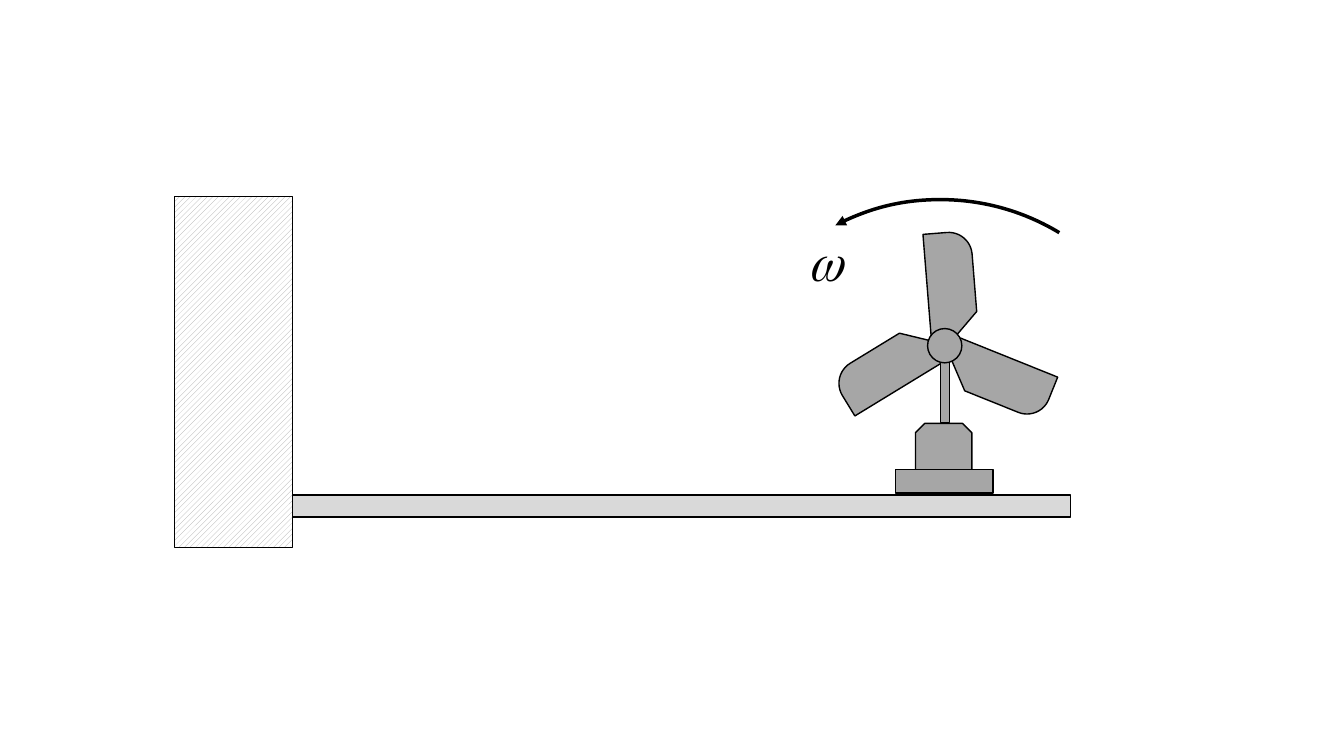
from dataclasses import dataclass

from pptx import Presentation
from pptx import util as u
from pptx.dml.color import RGBColor
from pptx.enum import dml, shapes, text
from pptx.oxml.ns import qn
from pptx.shapes.autoshape import Shape
from pptx.slide import Slide

BLACK = RGBColor(0x00, 0x00, 0x00)
WHITE = RGBColor(0xFF, 0xFF, 0xFF)
GREY = RGBColor(0xA6, 0xA6, 0xA6)
PALE = RGBColor(0xD9, 0xD9, 0xD9)
KIND = shapes.MSO_SHAPE


@dataclass(frozen=True)
class Part:
    kind: KIND
    left: float
    top: float
    width: float
    height: float
    fill: RGBColor | None = GREY
    turn: float = 0
    adjust: tuple[float, ...] = ()
    line: float = 1


def blade(left: float, top: float, turn: float) -> Part:
    return Part(KIND.SNIP_ROUND_RECTANGLE, left, top, 1.04, 0.47,
                turn=turn, adjust=(0.495, 0.5))


# Parts from back to front
ARC = Part(KIND.ARC, 7.06, 1.98, 4.54, 4.54, None, 31.2, (162, 197.155), 2.5)
WALL = Part(KIND.RECTANGLE, 1.73, 1.95, 1.17, 3.48, None)
BEAM = Part(KIND.RECTANGLE, 2.9, 4.91, 7.72, 0.22, PALE)
FAN = (
    Part(KIND.SNIP_2_SAME_RECTANGLE, 9.08, 4.2, 0.56, 0.7),
    Part(KIND.RECTANGLE, 8.88, 4.66, 0.97, 0.23),
    blade(8.28, 3.42, 328.6),
    Part(KIND.RECTANGLE, 9.33, 3.59, 0.09, 0.6),
    blade(8.91, 2.59, 85.4),
    blade(9.4, 3.53, 201.9),
    Part(KIND.OVAL, 9.2, 3.26, 0.34, 0.34),
)


def draw(slide: Slide, part: Part) -> Shape:
    box = (part.left, part.top, part.width, part.height)
    shape = slide.shapes.add_shape(part.kind, *map(u.Inches, box))
    shape.shadow.inherit = False
    shape.rotation = part.turn
    for index, value in enumerate(part.adjust):
        shape.adjustments[index] = value
    if part.fill is None:
        shape.fill.background()
    else:
        shape.fill.solid()
        shape.fill.fore_color.rgb = part.fill
    shape.line.color.rgb = BLACK
    shape.line.width = u.Pt(part.line)
    return shape


def hatch(shape: Shape) -> None:
    shape.fill.patterned()
    shape.fill.pattern = dml.MSO_PATTERN.WIDE_UPWARD_DIAGONAL
    shape.fill.fore_color.rgb = GREY
    shape.fill.back_color.rgb = WHITE


def point(shape: Shape) -> None:
    """Mirror the arc and put an arrowhead at its end."""
    props = shape.element.spPr
    props.find(qn("a:xfrm")).set("flipH", "1")
    line = props.find(qn("a:ln"))
    tail = line.makeelement(qn("a:tailEnd"), {"type": "triangle"})
    line.append(tail)


def label(slide: Slide) -> None:
    box = slide.shapes.add_textbox(*map(u.Inches, (7.92, 2.22, 0.6, 0.74)))
    frame = box.text_frame
    frame.word_wrap = False
    frame.auto_size = text.MSO_AUTO_SIZE.SHAPE_TO_FIT_TEXT
    para = frame.paragraphs[0]
    para.text = "⍵"
    font = para.font
    font.name = "Times New Roman"
    font.size = u.Pt(38)
    font.italic = True
    font.color.rgb = BLACK


def main() -> None:
    deck = Presentation()
    deck.slide_width = u.Inches(13.33)
    deck.slide_height = u.Inches(7.5)
    slide = deck.slides.add_slide(deck.slide_layouts[6])

    # Turning arrow, wall and beam
    point(draw(slide, ARC))
    hatch(draw(slide, WALL))
    draw(slide, BEAM)

    # Fan and its speed
    for part in FAN:
        draw(slide, part)
    label(slide)

    deck.save("out.pptx")


if __name__ == "__main__":
    main()
